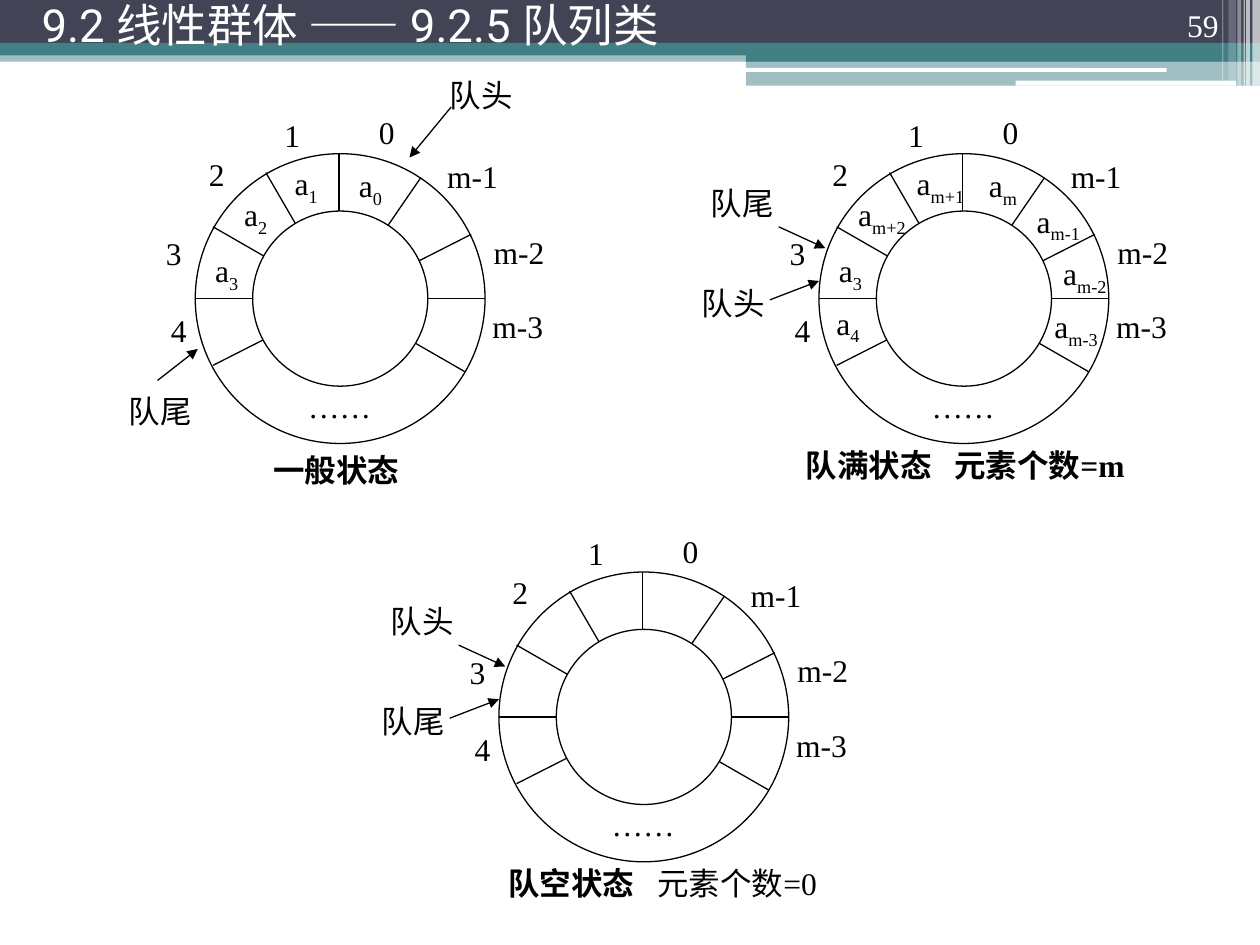
from lxml import etree
from pptx import Presentation
from pptx.dml.color import RGBColor
from pptx.enum.shapes import MSO_CONNECTOR, MSO_SHAPE
from pptx.enum.text import MSO_ANCHOR, MSO_AUTO_SIZE, PP_ALIGN
from pptx.oxml.ns import qn
from pptx.util import Inches, Pt

RECT, ROUND, OVAL = MSO_SHAPE.RECTANGLE, MSO_SHAPE.ROUNDED_RECTANGLE, MSO_SHAPE.OVAL
LEFT, MID, RIGHT = PP_ALIGN.LEFT, PP_ALIGN.CENTER, PP_ALIGN.RIGHT
TOP, CENTER, LOW = MSO_ANCHOR.TOP, MSO_ANCHOR.MIDDLE, MSO_ANCHOR.BOTTOM
LINE = MSO_CONNECTOR.STRAIGHT
SERIF, SANS = "Times New Roman", "Roboto"
BLACK, WHITE, NAVY, TEAL = "000000", "FFFFFF", "424456", "438086"

TITLE = "9.2 线性群体 —— 9.2.5 队列类"
NUMBER = "59"
BARS = [
    (RECT, (0, 0.4, 10, 0.09), TEAL, 50),
    (RECT, (0, 0, 10, 0.34), NAVY, 100),
    (RECT, (0, 0.34, 10, 0.1), TEAL, 100),
    (RECT, (5.92, 0.39, 4.08, 0.1), TEAL, 100),
    (RECT, (5.92, 0.48, 4.08, 0.2), TEAL, 50),
    (ROUND, (5.91, 0.54, 3.35, 0.03), WHITE, 100),
    (ROUND, (8.06, 0.64, 1.75, 0.04), WHITE, 100),
    (RECT, (9.94, 0, 0.06, 0.68), WHITE, 65),
    (RECT, (9.89, 0, 0.03, 0.68), WHITE, 65),
    (RECT, (9.87, 0, 0.01, 0.68), WHITE, 60),
    (RECT, (9.82, 0, 0.03, 0.68), WHITE, 40),
    (RECT, (9.75, 0, 0.06, 0.64), WHITE, 20),
    (RECT, (9.7, 0, 0.01, 0.64), WHITE, 30),
]

SIZE, HOLE = 2.3, 1.39
SPOKES = [
    (1.14, 0, 1.14, 1.17), (0, 1.15, 2.3, 1.15), (0.56, 0.15, 1.14, 1.15),
    (0.14, 0.58, 2.14, 1.73), (0.14, 1.68, 2.19, 0.64), (1.13, 1.15, 1.79, 0.19),
]
SLOTS = [
    ("0", 1.37, -0.32, 0.3), ("1", 0.62, -0.3, 0.3), ("2", 0.02, 0.01, 0.3),
    ("3", -0.32, 0.64, 0.3), ("4", -0.28, 1.25, 0.3), ("m-1", 1.9, 0.03, 0.6),
    ("m-2", 2.16, 0.63, 0.82), ("m-3", 2.12, 1.22, 0.88),
]
DOTS = (0.63, 1.8, 1.03, 0.49)
HEAD, TAIL = "队头", "队尾"
UPPER = ((-1.05, 0.24), (-0.32, 0.58, 0.05, 0.75))
LOWER = ((-1.12, 1.03), (-0.39, 1.16, 0, 1.01))
RINGS = [
    {"at": (6.5, 1.22),
     "cells": [("m", 1.24, 0.1, 0.44), ("m+1", 0.73, 0.08, 0.47),
               ("m+2", 0.28, 0.33, 0.44), ("3", 0.1, 0.77, 0.3),
               ("4", 0.08, 1.19, 0.3), ("m-1", 1.7, 0.38, 0.4),
               ("m-2", 1.91, 0.8, 0.4), ("m-3", 1.84, 1.22, 0.4)],
     "marks": [(TAIL, *UPPER), (HEAD, *LOWER)],
     "note": [("队满状态", True), (" ", True), ("元素个数=m", True)],
     "box": (-0.42, 2.27, 3.16, 0.61)},
    {"at": (3.96, 4.54),
     "cells": [],
     "marks": [(HEAD, *UPPER), (TAIL, *LOWER)],
     "note": [("队空状态", True), (" ", True), ("元素个数=0", False)],
     "box": (-0.28, 2.27, 3.16, 0.61)},
    {"at": (1.55, 1.22),
     "cells": [("0", 1.24, 0.1, 0.3), ("1", 0.73, 0.08, 0.3),
               ("2", 0.33, 0.33, 0.3), ("3", 0.1, 0.77, 0.3)],
     "marks": [(HEAD, (1.83, -0.62), (2.03, -0.37, 1.7, 0.03)),
               (TAIL, (-0.72, 1.89), (-0.3, 1.8, 0.02, 1.55))],
     "note": [("一般状态", True)],
     "box": (-0.16, 2.31, 2.56, 0.61)},
]


def paint(part, tone):
    part.solid()
    part.fore_color.rgb = RGBColor.from_string(tone)


def shape(home, kind, box, fill=None, line=None, alpha=100):
    item = home.add_shape(kind, *map(Inches, box))
    item.shadow.inherit = False
    if fill:
        paint(item.fill, fill)
    else:
        item.fill.background()
    if line:
        paint(item.line.fill, line)
        item.line.width = Pt(0.75)
    else:
        item.line.fill.background()
    if alpha < 100:
        tone = item.fill._xPr.find(qn("a:solidFill"))[0]
        etree.SubElement(tone, qn("a:alpha"), val=str(alpha * 1000))
    return item


def link(home, ends, arrow=False):
    item = home.add_connector(LINE, *map(Inches, ends))
    paint(item.line.fill, BLACK)
    item.line.width = Pt(0.75)
    if arrow:
        etree.SubElement(item.line._get_or_add_ln(), qn("a:tailEnd"), type="triangle")
    etree.SubElement(item.element.spPr, qn("a:effectLst"))


def write(frame, runs, align=MID, anchor=TOP, size=18, face=SERIF, tone=BLACK):
    frame.word_wrap = True
    frame.auto_size = MSO_AUTO_SIZE.NONE
    frame.vertical_anchor = anchor
    para = frame.paragraphs[0]
    para.alignment = align
    for words, bold, extra in runs:
        run = para.add_run()
        run.text = words
        font = run.font
        font.size, font.name, font.bold = Pt(size), face, bold
        paint(font.fill, tone)
        for key, val in extra.items():
            run._r.get_or_add_rPr().set(key, val)
    return para


def label(home, box, runs, pad=False, **look):
    frame = home.add_textbox(*map(Inches, box)).text_frame
    if not pad:
        frame.margin_left = frame.margin_right = 0
        frame.margin_top = frame.margin_bottom = 0
    write(frame, runs, **look)


def plain(words):
    return [(words, False, {})]


def draw(home, ring):
    left, top = ring["at"]

    def box(x, y, wide, high):
        return left + x, top + y, wide, high

    def ends(x1, y1, x2, y2):
        return left + x1, top + y1, left + x2, top + y2

    gap = (SIZE - HOLE) / 2
    shape(home, OVAL, box(0, 0, SIZE, SIZE), line=BLACK)
    for spoke in SPOKES:
        link(home, ends(*spoke))
    shape(home, OVAL, box(gap, gap, HOLE, HOLE), WHITE, BLACK)
    for words, x, y, wide in SLOTS:
        label(home, box(x, y, wide, 0.33), plain(words))
    label(home, box(*DOTS), plain("……"), pad=True)
    for sub, x, y, wide in ring["cells"]:
        runs = plain("a") + [(sub, False, {"baseline": "-25000"})]
        label(home, box(x, y, wide, 0.33), runs)
    for words, spot, arrow in ring["marks"]:
        label(home, box(*spot, 0.88, 0.39), plain(words))
        link(home, ends(*arrow), arrow=True)
    note = [(words, bold, {"spc": "900"} if words == " " else {})
            for words, bold in ring["note"]]
    label(home, box(*ring["box"]), note, pad=True)


def main():
    deck = Presentation()
    deck.slide_width, deck.slide_height = Inches(10), Inches(7.5)
    slide = deck.slides.add_slide(deck.slide_layouts[5])
    paint(slide.background.fill, WHITE)
    home = slide.shapes
    for kind, box, tone, alpha in BARS:
        shape(home, kind, box, tone, alpha=alpha)
    label(home, (8.94, 0, 0.83, 0.4), plain(NUMBER), pad=True,
          align=RIGHT, anchor=LOW, tone=WHITE)
    title = home.title
    title.left, title.top, title.width, title.height = map(Inches, (0.23, 0, 9.1, 0.47))
    para = write(title.text_frame, plain(TITLE), LEFT, CENTER, 26, SANS, WHITE)
    para.line_spacing = 0.8
    home.element.append(title.element)
    for ring in RINGS:
        draw(home.add_group_shape().shapes, ring)
    deck.save("out.pptx")


if __name__ == "__main__":
    main()
